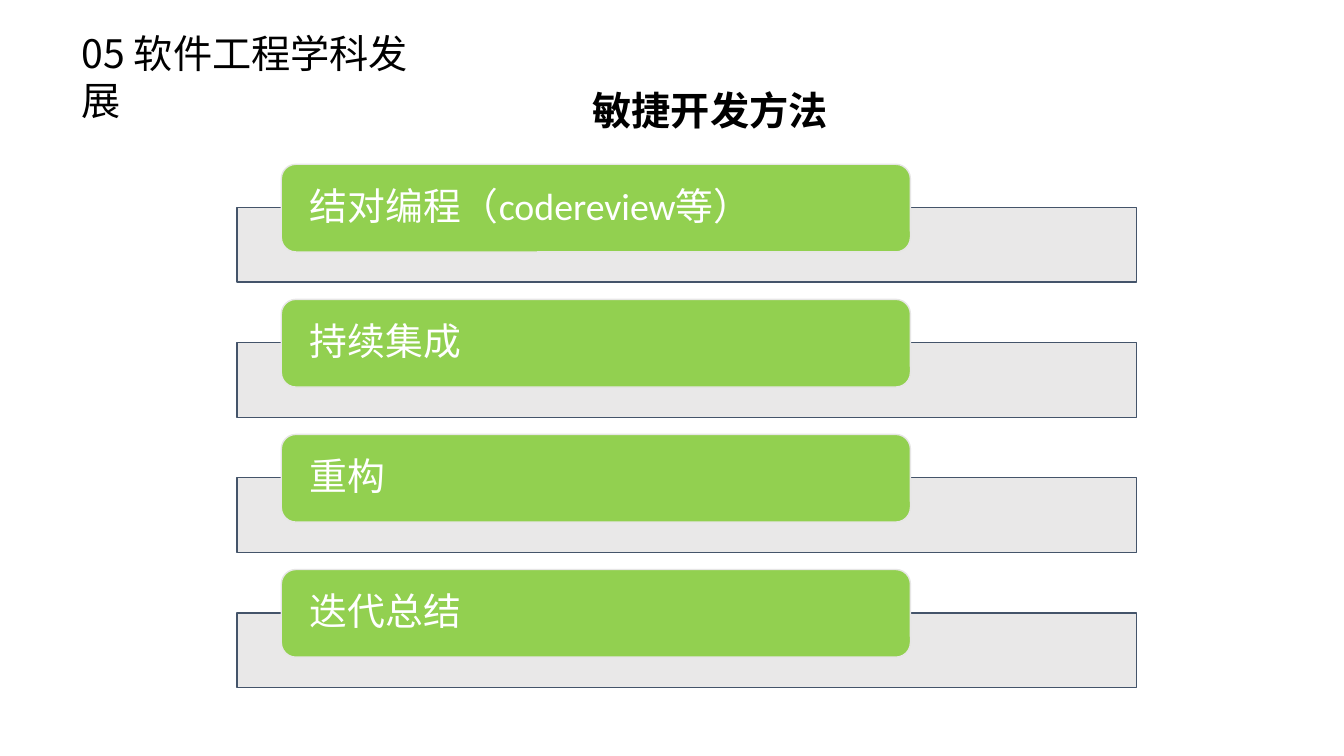
from dataclasses import dataclass

import lxml.etree
import pptx
import pptx.dml.color
import pptx.enum.shapes
import pptx.enum.text
import pptx.oxml.ns
import pptx.util

Inches = pptx.util.Inches
Pt = pptx.util.Pt
Shapes = pptx.enum.shapes.MSO_SHAPE
Anchor = pptx.enum.text.MSO_ANCHOR
Align = pptx.enum.text.PP_ALIGN


@dataclass(frozen=True)
class Theme:
    text: str = "000000"
    label_text: str = "FFFFFF"
    label_fill: str = "92D050"
    bar_fill: str = "E7E6E6"
    bar_line: str = "44546A"
    bar_opacity: int = 90
    heading_font: str = "Noto Sans CJK SC"
    label_font: str = "Calibri"
    heading_size: float = 28
    heading_line: float = 33.6
    label_size: float = 27


THEME = Theme()
PRACTICES = ["结对编程（codereview等）", "持续集成", "重构", "迭代总结"]
FIRST_LABEL_TOP = 1.63
ROW_PITCH = 1.34
BAR_OFFSET = 0.43


def rgb(color):
    return pptx.dml.color.RGBColor.from_string(color)


def place(shape, left, top, width, height):
    shape.left, shape.top = Inches(left), Inches(top)
    shape.width, shape.height = Inches(width), Inches(height)


def format_runs(paragraph, font_name, size, color, bold=False):
    """Format every run, with the heading font for East Asian letters."""
    for run in paragraph.runs:
        run.font.name = font_name
        run.font.size = Pt(size)
        run.font.bold = bold
        run.font.color.rgb = rgb(color)
        east_asian = lxml.etree.SubElement(
            run._r.get_or_add_rPr(), pptx.oxml.ns.qn("a:ea"))
        east_asian.set("typeface", THEME.heading_font)


def write_heading(shape, text, bold=False, wrap=True):
    frame = shape.text_frame
    frame.text = text
    frame.word_wrap = wrap
    frame.auto_size = pptx.enum.text.MSO_AUTO_SIZE.NONE
    frame.vertical_anchor = Anchor.TOP
    paragraph = frame.paragraphs[0]
    paragraph.alignment = Align.LEFT
    paragraph.line_spacing = Pt(THEME.heading_line)
    format_runs(paragraph, THEME.heading_font, THEME.heading_size,
                THEME.text, bold)


def add_box(slide, kind, position, fill, line):
    shape = slide.shapes.add_shape(kind, *map(Inches, position))
    shape.shadow.inherit = False
    shape.fill.solid()
    shape.fill.fore_color.rgb = rgb(fill)
    shape.line.color.rgb = rgb(line)
    shape.line.width = Pt(1)
    return shape


def set_opacity(shape, percent):
    color = shape.fill._xPr.find(".//" + pptx.oxml.ns.qn("a:srgbClr"))
    alpha = lxml.etree.SubElement(color, pptx.oxml.ns.qn("a:alpha"))
    alpha.set("val", str(percent * 1000))


def add_practice(slide, text, top):
    """Add one grey bar with its green label overlapping the upper edge."""
    bar = add_box(slide, Shapes.RECTANGLE, (2.35, top + BAR_OFFSET, 8.92, 0.74),
                  THEME.bar_fill, THEME.bar_line)
    set_opacity(bar, THEME.bar_opacity)
    label = add_box(slide, Shapes.ROUNDED_RECTANGLE, (2.79, top, 6.24, 0.87),
                    THEME.label_fill, THEME.bar_fill)
    frame = label.text_frame
    frame.text = text
    frame.word_wrap = True
    frame.vertical_anchor = Anchor.MIDDLE
    frame.margin_left = frame.margin_right = Inches(0.24)
    frame.margin_top = frame.margin_bottom = 0
    paragraph = frame.paragraphs[0]
    paragraph.alignment = Align.LEFT
    paragraph.line_spacing = 0.9
    format_runs(paragraph, THEME.label_font, THEME.label_size, THEME.label_text)


def main():
    presentation = pptx.Presentation()
    presentation.slide_width = Inches(13.33)
    presentation.slide_height = Inches(7.5)
    slide = presentation.slides.add_slide(presentation.slide_layouts[5])

    title = slide.shapes.title
    place(title, 0.71, 0.24, 3.81, 0.57)
    write_heading(title, "05 软件工程学科发展")

    for row, practice in enumerate(PRACTICES):
        add_practice(slide, practice, FIRST_LABEL_TOP + row * ROW_PITCH)

    subtitle = slide.shapes.add_textbox(
        Inches(5.78), Inches(0.81), Inches(2.56), Inches(0.57))
    write_heading(subtitle, "敏捷开发方法", bold=True, wrap=False)

    presentation.save("out.pptx")


if __name__ == "__main__":
    main()
